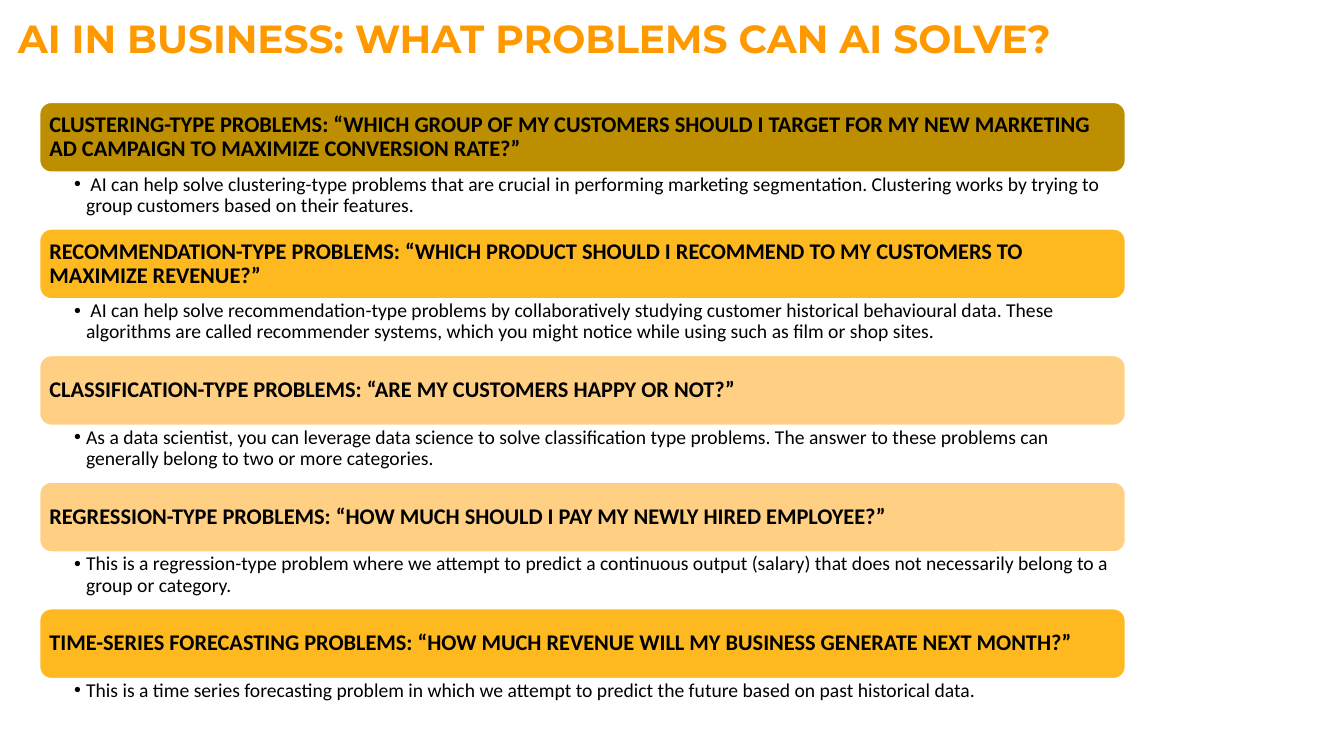
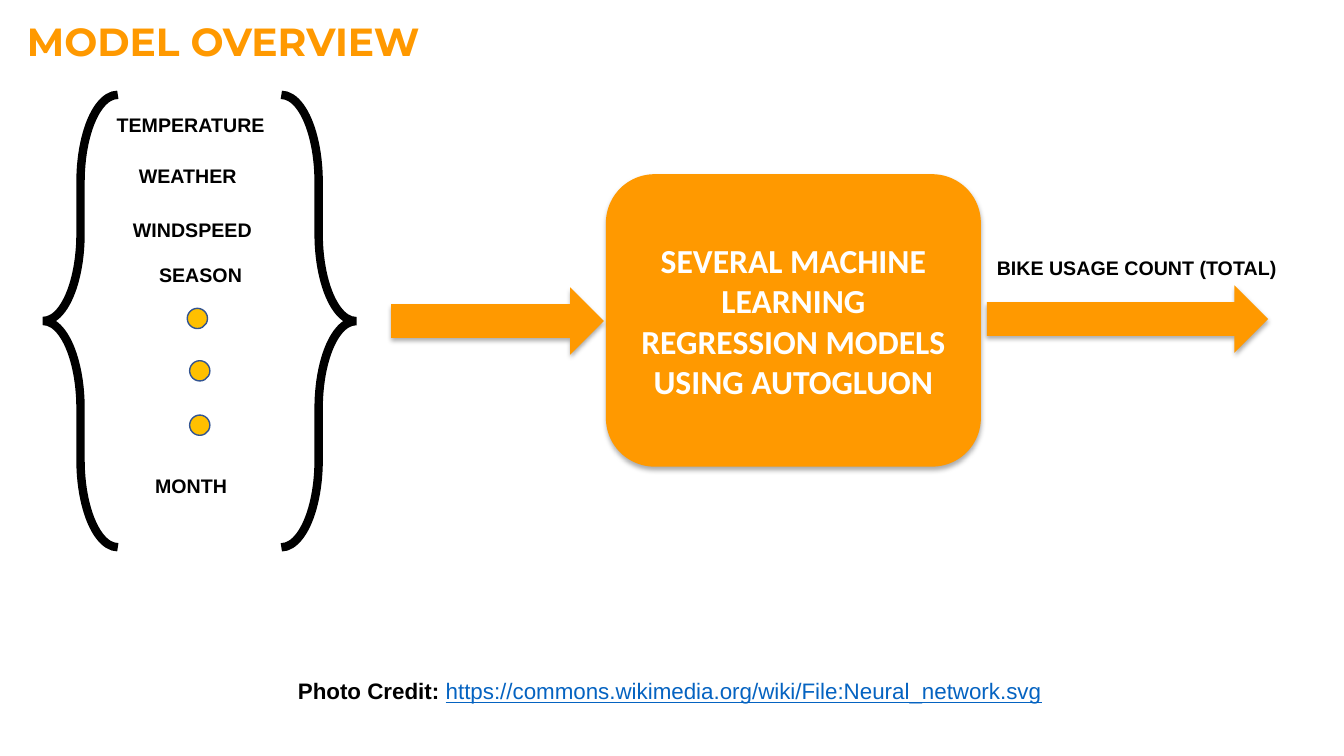
from dataclasses import dataclass

import pptx
import pptx.util
import pptx.dml.color
import pptx.enum.shapes
import pptx.enum.text
import pptx.oxml
import pptx.oxml.ns
from lxml import etree

Cm = pptx.util.Cm
Pt = pptx.util.Pt
Kind = pptx.enum.shapes.MSO_SHAPE
Align = pptx.enum.text.PP_ALIGN
Anchor = pptx.enum.text.MSO_ANCHOR
Fit = pptx.enum.text.MSO_AUTO_SIZE
qn = pptx.oxml.ns.qn


@dataclass(frozen=True)
class Theme:
    black: str = "000000"
    white: str = "FFFFFF"
    orange: str = "FF9900"
    olive: str = "BD8E00"
    amber: str = "FFB920"
    peach: str = "FFD083"
    gold: str = "FFC000"
    navy: str = "325491"
    link: str = "0563C1"
    title: int = 28
    large: int = 24
    medium: int = 16
    small: int = 14
    head: str = "Montserrat"
    body: str = "Calibri"
    label: str = "Arial"


def tint(code):
    return pptx.dml.color.RGBColor.from_string(code)


def write(frame, text, *, font, size, color, bold=False, align=Align.LEFT,
          anchor=Anchor.TOP, inset=(0.25, 0.13, 0.25, 0.13), spacing=1,
          wrap=True, grow=False, bullet=None):
    frame.word_wrap = wrap
    frame.auto_size = Fit.SHAPE_TO_FIT_TEXT if grow else Fit.NONE
    frame.vertical_anchor = anchor
    (frame.margin_left, frame.margin_top,
     frame.margin_right, frame.margin_bottom) = map(Cm, inset)
    para = frame.paragraphs[0]
    para.alignment = align
    para.line_spacing = spacing
    if bullet:
        props = para._p.get_or_add_pPr()
        props.set("marL", str(Cm(0.3)))
        props.set("indent", str(-Cm(0.3)))
        etree.SubElement(props, qn("a:buFont"), typeface="Arial")
        etree.SubElement(props, qn("a:buChar"), char=bullet)
    parts = [(text, {})] if isinstance(text, str) else text
    for words, extra in parts:
        run = para.add_run()
        run.text = words
        run.font.name = font
        run.font.size = Pt(size)
        run.font.bold = extra.get("bold", bold)
        run.font.underline = extra.get("under")
        run.font.color.rgb = tint(extra.get("color", color))


class Deck:
    def __init__(self, theme):
        self.theme = theme
        self.show = pptx.Presentation()
        self.show.slide_width = Cm(33.87)
        self.show.slide_height = Cm(19.05)
        self.slide = None

    def start(self, title, x, y, width):
        self.slide = self.show.slides.add_slide(self.show.slide_layouts[6])
        self.text(title, (x, y, width, 1.45), font=self.theme.head,
                  size=self.theme.title, color=self.theme.orange,
                  bold=True, grow=True)

    def text(self, text, place, **form):
        box = self.slide.shapes.add_textbox(*map(Cm, place))
        write(box.text_frame, text, **form)

    def shape(self, kind, place, fill=None, line=None, width=1, shade=False):
        shape = self.slide.shapes.add_shape(kind, *map(Cm, place))
        shape.shadow.inherit = False
        if fill:
            shape.fill.solid()
            shape.fill.fore_color.rgb = tint(fill)
        else:
            shape.fill.background()
        if line:
            shape.line.color.rgb = tint(line)
            shape.line.width = Pt(width)
        else:
            shape.line.fill.background()
        if shade:
            self.shade(shape)
        return shape

    def shade(self, shape):
        effect = shape._element.spPr.find(qn("a:effectLst"))
        outer = etree.SubElement(
            effect, qn("a:outerShdw"), blurRad=str(Pt(3.5)),
            dist=str(Pt(2.2)), dir="5400000", rotWithShape="0")
        color = etree.SubElement(outer, qn("a:srgbClr"), val=self.theme.black)
        etree.SubElement(color, qn("a:alpha"), val="32000")

    def topic(self, y, fill, head, body):
        theme = self.theme
        bar = self.shape(Kind.ROUNDED_RECTANGLE, (1, y, 27.36, 1.76),
                         fill, theme.white)
        write(bar.text_frame, head, font=theme.body, size=theme.medium,
              color=theme.black, bold=True, anchor=Anchor.MIDDLE,
              inset=(0.16, 0.18, 0.18, 0.18), spacing=0.9)
        self.text(body, (1, y + 1.76, 27.36, 1.43), font=theme.body,
                  size=theme.small, color=theme.black,
                  inset=(0.87, 0.05, 0.28, 0.05), spacing=0.9, bullet="•")

    def label(self, text, x, y, width):
        self.text(text, (x, y, width, 0.86), font=self.theme.label,
                  size=self.theme.small, color=self.theme.black, bold=True,
                  wrap=False, grow=True)

    def arrow(self, x, y, width):
        self.shape(Kind.RIGHT_ARROW, (x, y, width, 1.7),
                   self.theme.orange, shade=True)

    def brace(self, x, turn=0):
        shape = self.shape(Kind.LEFT_BRACE, (x, 2.39, 1.88, 11.4),
                           line=self.theme.black, width=6)
        shape.adjustments[0] = 1.17
        shape.rotation = turn
        line = shape._element.spPr.find(qn("a:ln"))
        etree.SubElement(line, qn("a:miter"), lim="800000")

    def dot(self, x, y):
        self.shape(Kind.OVAL, (x, y, 0.51, 0.51),
                   self.theme.gold, self.theme.navy)


def solve(deck):
    theme = deck.theme
    deck.start("AI IN BUSINESS: WHAT PROBLEMS CAN AI SOLVE?", 0.2, 0.23, 27.64)
    topics = [
        (theme.olive,
         "CLUSTERING-TYPE PROBLEMS: “WHICH GROUP OF MY CUSTOMERS SHOULD I "
         "TARGET FOR MY NEW MARKETING AD CAMPAIGN TO MAXIMIZE CONVERSION RATE?”",
         " AI can help solve clustering-type problems that are crucial in "
         "performing marketing segmentation. Clustering works by trying to "
         "group customers based on their features."),
        (theme.amber,
         "RECOMMENDATION-TYPE PROBLEMS: “WHICH PRODUCT SHOULD I RECOMMEND TO "
         "MY CUSTOMERS TO MAXIMIZE REVENUE?”",
         " AI can help solve recommendation-type problems by collaboratively "
         "studying customer historical behavioural data. These algorithms are "
         "called recommender systems, which you might notice while using such "
         "as film or shop sites."),
        (theme.peach,
         "CLASSIFICATION-TYPE PROBLEMS: “ARE MY CUSTOMERS HAPPY OR NOT?”",
         "As a data scientist, you can leverage data science to solve "
         "classification type problems. The answer to these problems can "
         "generally belong to two or more categories."),
        (theme.peach,
         "REGRESSION-TYPE PROBLEMS: “HOW MUCH SHOULD I PAY MY NEWLY HIRED "
         "EMPLOYEE?”",
         "This is a regression-type problem where we attempt to predict a "
         "continuous output (salary) that does not necessarily belong to a "
         "group or category."),
        (theme.amber,
         "TIME-SERIES FORECASTING PROBLEMS: “HOW MUCH REVENUE WILL MY "
         "BUSINESS GENERATE NEXT MONTH?”",
         "This is a time series forecasting problem in which we attempt to "
         "predict the future based on past historical data."),
    ]
    for row, topic in enumerate(topics):
        deck.topic(2.58 + row * 3.19, *topic)


def model(deck):
    theme = deck.theme
    deck.start("MODEL OVERVIEW", 0.43, 0.3, 25.55)
    box = deck.shape(Kind.ROUNDED_RECTANGLE, (15.27, 4.39, 9.45, 7.37),
                     theme.orange, shade=True)
    write(box.text_frame,
          "SEVERAL MACHINE LEARNING REGRESSION MODELS USING AUTOGLUON",
          font=theme.body, size=theme.large, color=theme.white, bold=True,
          align=Align.CENTER, anchor=Anchor.MIDDLE)
    deck.arrow(9.86, 7.24, 5.36)
    deck.arrow(24.87, 7.19, 7.09)
    deck.brace(1.09)
    deck.brace(7.09, turn=180)
    for label in [
        ("TEMPERATURE", 2.69, 2.72, 4.32),
        ("WEATHER", 3.25, 3.99, 3.05),
        ("WINDSPEED", 3.1, 5.36, 3.53),
        ("SEASON", 3.76, 6.5, 2.62),
        ("MONTH", 3.66, 11.81, 2.34),
        ("BIKE USAGE COUNT (TOTAL)", 24.87, 6.32, 7.65),
    ]:
        deck.label(*label)
    for x, y in [(4.72, 7.77), (4.78, 9.09), (4.78, 10.46)]:
        deck.dot(x, y)
    credit = [
        ("Photo Credit: ", {"bold": True}),
        ("https://commons.wikimedia.org/wiki/File:Neural_network.svg",
         {"color": theme.link, "under": True}),
    ]
    deck.text(credit, (7.26, 16.94, 20.14, 1.63), font=theme.label,
              size=theme.medium, color=theme.black, grow=True)


def main():
    deck = Deck(Theme())
    solve(deck)
    model(deck)
    deck.show.save("out.pptx")


if __name__ == "__main__":
    main()
